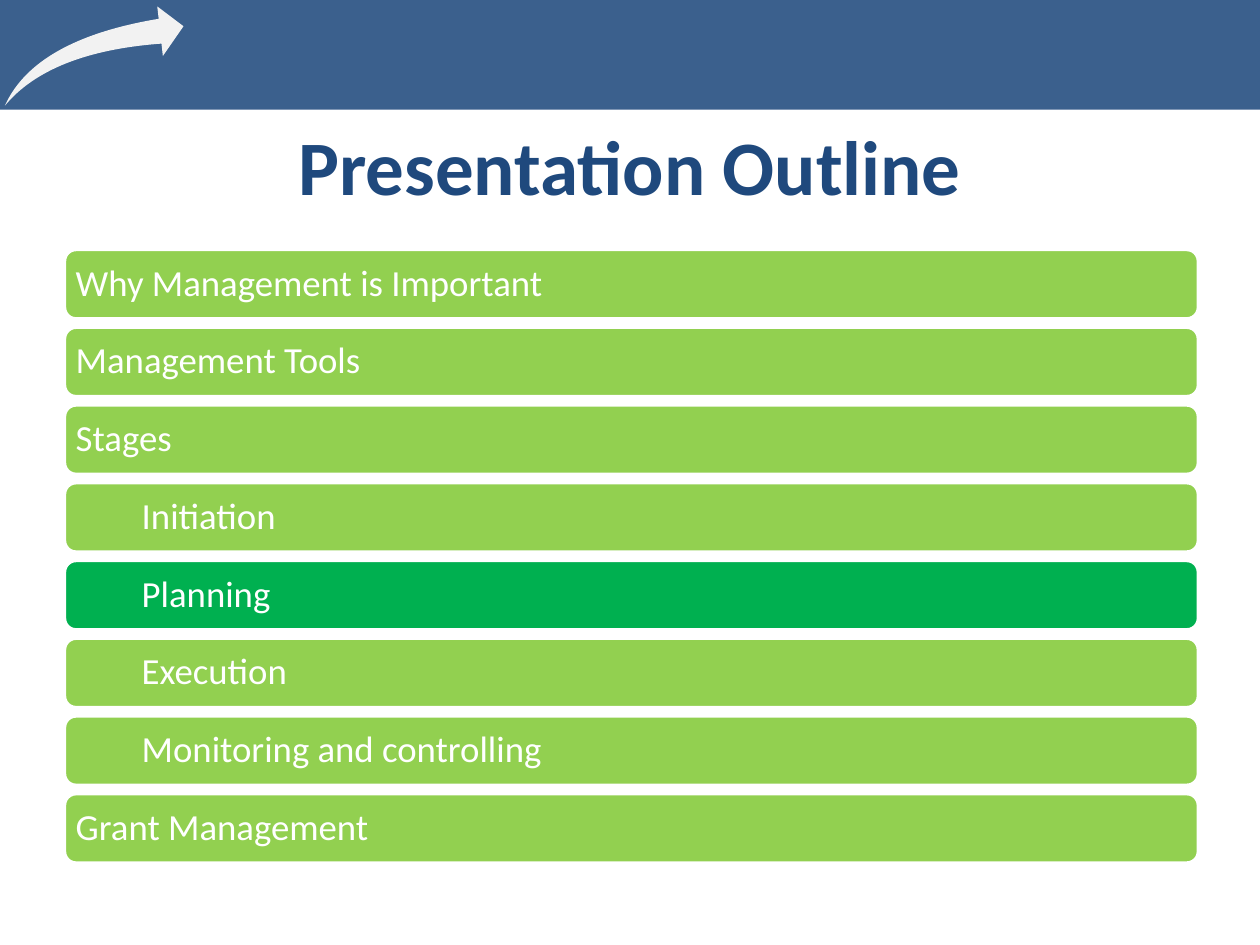
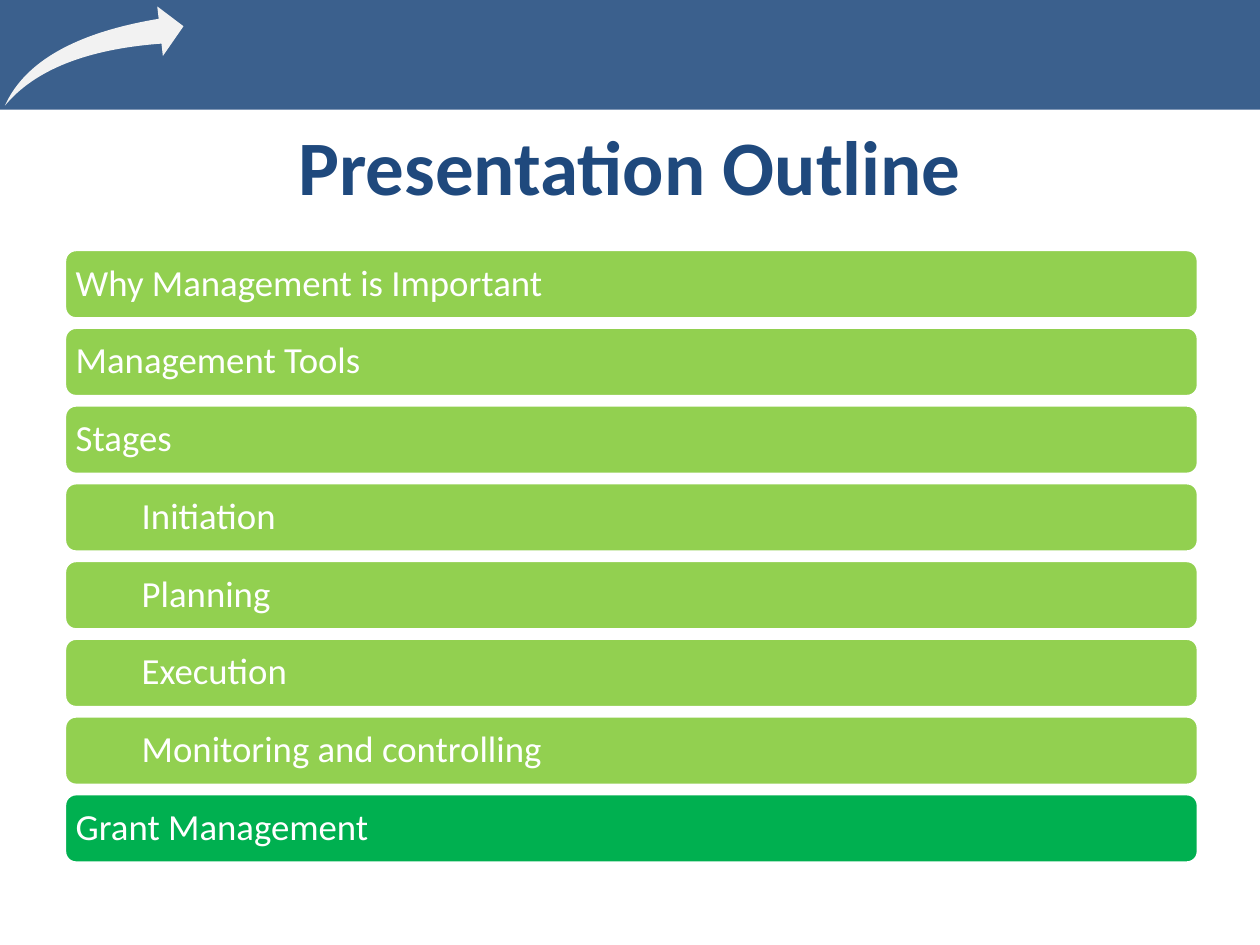
"""Builds two outline slides, each highlighting the section that comes next."""
from dataclasses import dataclass

from lxml.etree import SubElement
from pptx import Presentation
from pptx.dml.color import RGBColor as RGB
from pptx.enum.shapes import MSO_SHAPE as SHAPE
from pptx.enum.text import MSO_ANCHOR as ANCHOR, PP_ALIGN as ALIGN
from pptx.oxml.ns import qn
from pptx.util import Cm, Pt

TITLE = "Presentation Outline"
SECTIONS = [
    ("Why Management is Important", 0),
    ("Management Tools", 0),
    ("Stages", 0),
    ("Initiation", 1),
    ("Planning", 1),
    ("Execution", 1),
    ("Monitoring and controlling", 1),
    ("Grant Management", 0),
]
HIGHLIGHTS = ["Planning", "Grant Management"]


@dataclass(frozen=True)
class Theme:
    font: str = "Calibri"
    navy: RGB = RGB(0x1F, 0x49, 0x7D)
    arrow: RGB = RGB(0xF2, 0xF2, 0xF2)
    bar: RGB = RGB(0x92, 0xD0, 0x50)
    current: RGB = RGB(0x00, 0xB0, 0x50)
    white: RGB = RGB(0xFF, 0xFF, 0xFF)
    title_size: Pt = Pt(44)
    bar_size: Pt = Pt(21)
    band_opacity: int = 87


THEME = Theme()
SLIDE_W, SLIDE_H = 25.4, 19.05
BAR_LEFT, BAR_W, BAR_H = 1.3, 22.86, 1.4
FIRST_TOP, LAST_TOP = 5.03, 16
PITCH = (LAST_TOP - FIRST_TOP) / (len(SECTIONS) - 1)
MARGIN, INDENT = 0.16, 1.33


def add_filled(slide, kind, box, color):
    sp = slide.shapes.add_shape(kind, *map(Cm, box))
    sp.shadow.inherit = False
    sp.fill.solid()
    sp.fill.fore_color.rgb = color
    sp.line.fill.background()
    return sp


def style(p, size, color, align, bold=False):
    p.alignment = align
    p.font.name, p.font.size, p.font.bold = THEME.font, size, bold
    p.font.color.rgb = color


def add_header(slide):
    band = add_filled(slide, SHAPE.RECTANGLE, (0, -0.02, SLIDE_W, 2.23), THEME.navy)
    color = next(band.fill._xPr.iter(qn("a:srgbClr")))
    SubElement(color, qn("a:alpha")).set("val", str(THEME.band_opacity * 1000))
    arrow = add_filled(slide, SHAPE.SWOOSH_ARROW, (0.1, 0.13, 3.6, 2), THEME.arrow)
    arrow.adjustments[0] = arrow.adjustments[1] = 0.25


def add_title(slide):
    title = slide.shapes.title
    title.left, title.top, title.width, title.height = map(Cm, (1.27, 2.13, 22.86, 2.4))
    tf = title.text_frame
    tf.text = TITLE
    tf.vertical_anchor = ANCHOR.MIDDLE
    style(tf.paragraphs[0], THEME.title_size, THEME.navy, ALIGN.CENTER, True)


def add_bar(slide, row, text, level, color):
    box = (BAR_LEFT, FIRST_TOP + row * PITCH, BAR_W, BAR_H)
    sp = add_filled(slide, SHAPE.ROUNDED_RECTANGLE, box, color)
    sp.line.color.rgb = THEME.white
    sp.line.width = Pt(2)
    tf = sp.text_frame
    tf.text = text
    tf.word_wrap = True
    tf.vertical_anchor = ANCHOR.MIDDLE
    tf.margin_left = Cm(MARGIN + level * INDENT)
    tf.margin_right = tf.margin_top = tf.margin_bottom = Cm(MARGIN)
    p = tf.paragraphs[0]
    p.line_spacing = 0.9
    style(p, THEME.bar_size, THEME.white, ALIGN.LEFT)


def main():
    prs = Presentation()
    prs.slide_width, prs.slide_height = Cm(SLIDE_W), Cm(SLIDE_H)
    for highlight in HIGHLIGHTS:
        slide = prs.slides.add_slide(prs.slide_layouts[5])
        add_header(slide)
        add_title(slide)
        for row, (text, level) in enumerate(SECTIONS):
            color = THEME.current if text == highlight else THEME.bar
            add_bar(slide, row, text, level, color)
    prs.save("out.pptx")


if __name__ == "__main__":
    main()
